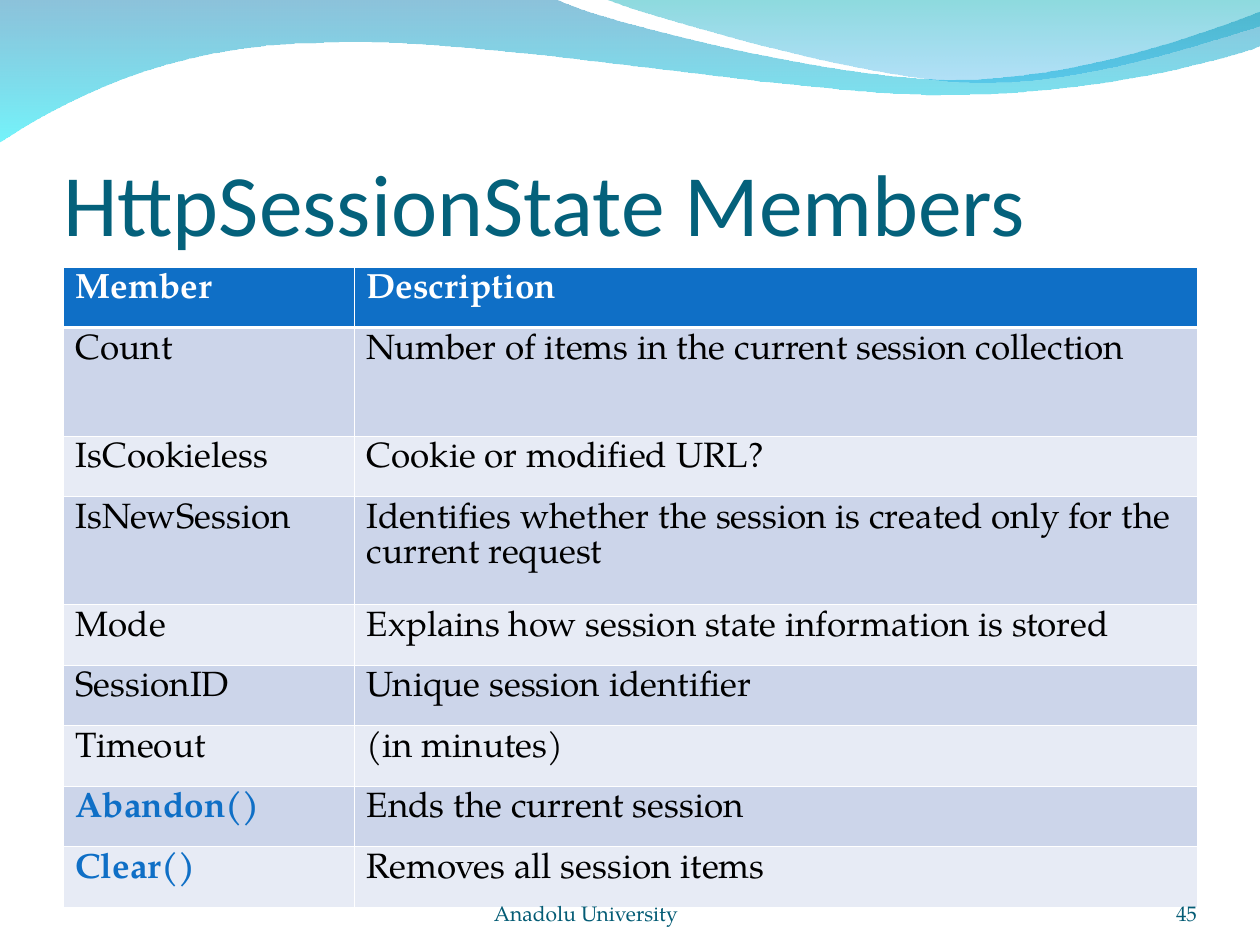
from dataclasses import dataclass

from lxml.etree import SubElement
from pptx import Presentation
from pptx.dml.color import RGBColor as Rgb
from pptx.enum.text import MSO_ANCHOR as Anchor, PP_ALIGN as Align
from pptx.oxml.ns import qn
from pptx.util import Inches, Pt


@dataclass(frozen=True)
class Theme:
    heading_font: str = "Calibri"
    text_font: str = "TeX Gyre Pagella"
    title_size: int = 50
    table_size: int = 20
    footer_size: int = 12
    title: str = "04617B"
    footer: str = "045C75"
    accent: str = "0F6FC6"
    text: str = "000000"
    white: str = "FFFFFF"
    bands: tuple = ("CCD5EA", "E7EBF5")
    # Each gradient stop is a colour and its opacity in percent
    left_wave: tuple = (("0079AF", 45), ("00EBF8", 55))
    right_wave: tuple = (("00ADB6", 45), ("009BE5", 30))


theme = Theme()


def draw_wave(shapes, start, segments):
    """Draw lines (one point) and cubic curves (two controls, then the end)."""
    builder = shapes.build_freeform(*map(Inches, start))
    ends = [tuple(map(Inches, segment[-2:])) for segment in segments]
    builder.add_line_segments(ends, close=True)
    wave = builder.convert_to_shape()
    lines = list(wave.element.iter(qn("a:lnTo")))
    for line, segment in zip(lines, segments):
        if len(segment) == 2:
            continue
        curve = line.makeelement(qn("a:cubicBezTo"))
        for x, y in zip(segment[::2], segment[1::2]):
            SubElement(curve, qn("a:pt"), x=str(Inches(x) - wave.left),
                       y=str(Inches(y) - wave.top))
        line.getparent().replace(line, curve)
    return wave


def write(frame, text, size, font, color, bold=False, align=Align.LEFT):
    para = frame.paragraphs[0]
    para.alignment = align
    if text.startswith("\t"):
        stops = SubElement(para._p.get_or_add_pPr(), qn("a:tabLst"))
        SubElement(stops, qn("a:tab"), pos=str(Inches(1)), algn="l")
    span = para.add_run()
    span.text = text
    span.font.color.rgb = Rgb.from_string(color)
    for name, value in {"size": Pt(size), "name": font, "bold": bold}.items():
        setattr(span.font, name, value)


deck = Presentation()
deck.slide_width, deck.slide_height = Inches(10), Inches(7.5)
page = deck.slides.add_slide(deck.slide_layouts[5])
title = page.shapes.title

# Waves along the top edge, behind the title
waves = [
    ((0, -0.01), [(4.4, -0.01),
                  (4.76, 0.17, 6.64, 0.63, 7.58, 0.63),
                  (8.53, 0.63, 9.58, 0.26, 10, 0.09),
                  (10.01, 0.36),
                  (9.83, 0.44, 8.7, 0.76, 7.46, 0.75),
                  (6.22, 0.75, 3.82, 0.28, 2.57, 0.34),
                  (1.29, 0.35, 0.46, 0.83, -0.01, 1.13)], theme.left_wave),
    ((4.79, -0.01), [(5.09, 0.11, 6.82, 0.62, 7.69, 0.65),
                     (8.56, 0.69, 9.61, 0.32, 10, 0.21),
                     (10, 0)], theme.right_wave),
]
for start, segments, colors in waves:
    wave = draw_wave(page.shapes, start, segments)
    wave.shadow.inherit = False
    wave.line.fill.background()
    wave.fill.gradient()
    wave.fill.gradient_angle = 270
    for stop, (color, opacity) in zip(wave.fill.gradient_stops, colors):
        stop.color.rgb = Rgb.from_string(color)
    for tag, (color, opacity) in zip(wave.element.iter(qn("a:srgbClr")), colors):
        SubElement(tag, qn("a:alpha")).set("val", str(opacity * 1000))
    title.element.addprevious(wave.element)

# Title
title.left, title.top, title.width, title.height = map(Inches, (0.5, 0.77, 9, 1.25))
frame_format = {"margin_left": 0, "margin_top": Inches(0.05), "margin_right": 0,
                "margin_bottom": 0, "vertical_anchor": Anchor.BOTTOM, "word_wrap": True}
for name, value in frame_format.items():
    setattr(title.text_frame, name, value)
write(title.text_frame, "HttpSessionState Members", theme.title_size,
      theme.heading_font, theme.title)

# Table of members
members = [
    ("Member", "Description"),
    ("Count", "Number of items in the current session collection"),
    ("IsCookieless", "Cookie or modified URL?"),
    ("IsNewSession", "Identifies whether the session is created only for the current request"),
    ("Mode", "Explains how session state information is stored"),
    ("SessionID", "Unique session identifier"),
    ("Timeout", "(in minutes)"),
    ("Abandon()", "Ends the current session"),
    ("Clear()", "Removes all session items"),
]
tall_rows = ("Count", "IsNewSession")
heights = [0.86 if member in tall_rows else 0.48 for member, _ in members]
table = page.shapes.add_table(len(members), 2, Inches(0.5), Inches(2.12),
                              Inches(9), Inches(sum(heights))).table
for column, width in zip(table.columns, (2.31, 6.69)):
    column.width = Inches(width)

for row, entry in enumerate(members):
    table.rows[row].height = Inches(heights[row])
    for column, text in enumerate(entry):
        cell = table.cell(row, column)
        header = row == 0
        method = text.endswith("()")
        heavy_edge = {0: "lnB", 1: "lnT"}.get(row)
        properties = cell._tc.get_or_add_tcPr()
        for edge in ("lnL", "lnR", "lnT", "lnB"):
            width = 1.47 if edge == heavy_edge else 0.45
            line = SubElement(properties, qn(f"a:{edge}"), w=str(Pt(width)))
            fill = SubElement(line, qn("a:solidFill"))
            SubElement(fill, qn("a:srgbClr"), val=theme.white)
        cell.fill.solid()
        band = theme.accent if header else theme.bands[(row - 1) % 2]
        cell.fill.fore_color.rgb = Rgb.from_string(band)
        color = theme.white if header else theme.accent if method else theme.text
        write(cell.text_frame, text, theme.table_size, theme.text_font, color,
              bold=header or method)

# Footer and page number
for text, left, width, align in [("45", 8.67, 0.83, Align.RIGHT),
                                 ("\tAnadolu University", 2.92, 3.67, Align.LEFT)]:
    box = page.shapes.add_textbox(Inches(left), Inches(6.95), Inches(width), Inches(0.4))
    for name, value in {**frame_format, "margin_top": 0}.items():
        setattr(box.text_frame, name, value)
    write(box.text_frame, text, theme.footer_size, theme.text_font, theme.footer, align=align)

deck.save("out.pptx")
